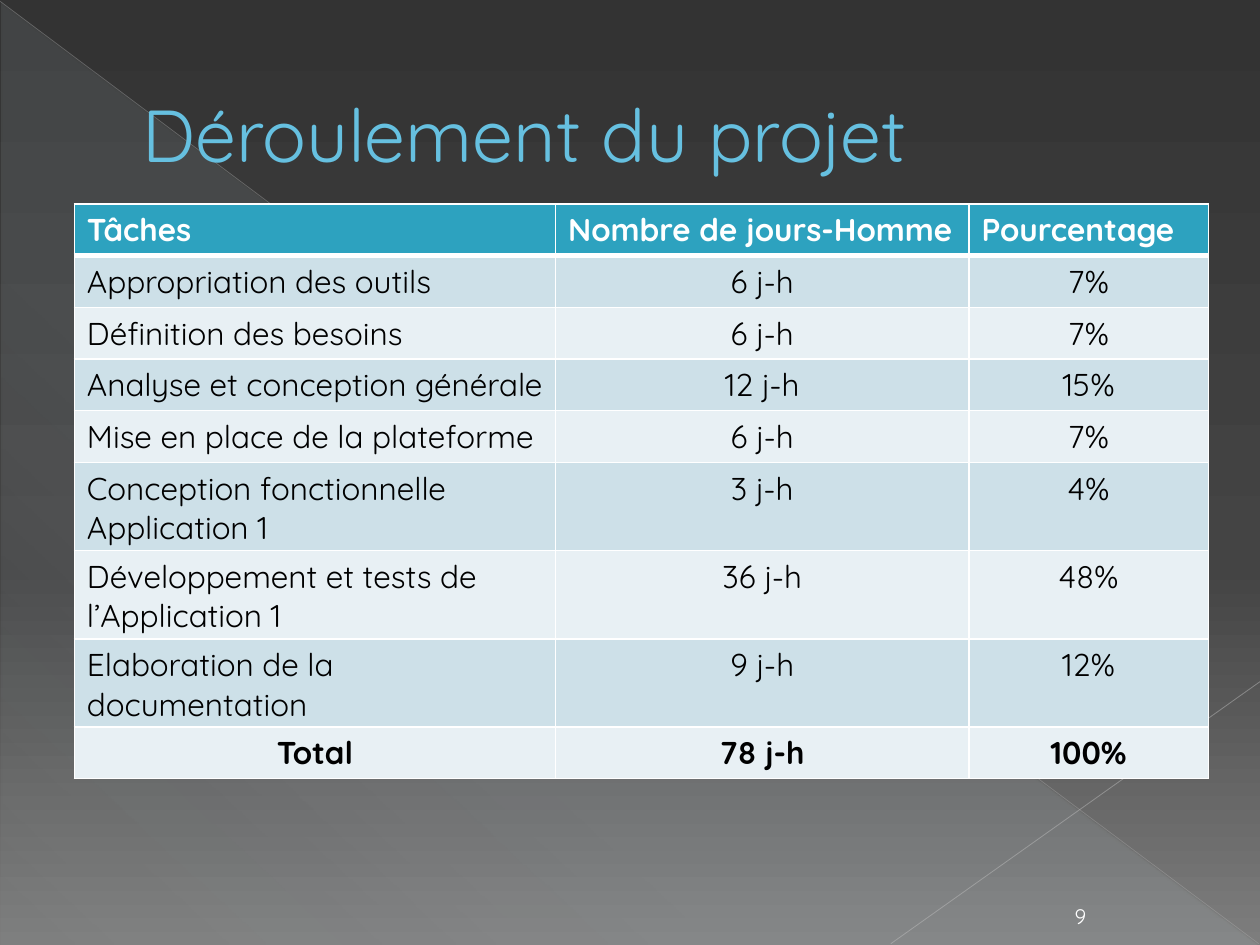
from lxml import etree
from pptx import Presentation
from pptx.dml.color import RGBColor
from pptx.enum.shapes import MSO_CONNECTOR, MSO_SHAPE
from pptx.enum.text import MSO_ANCHOR, PP_ALIGN
from pptx.oxml.ns import qn
from pptx.util import Inches, Pt

LEFT, CENTER = PP_ALIGN.LEFT, PP_ALIGN.CENTER
MIDDLE, BOTTOM = MSO_ANCHOR.MIDDLE, MSO_ANCHOR.BOTTOM
STRAIGHT = MSO_CONNECTOR.STRAIGHT
RIGHT_TRIANGLE = MSO_SHAPE.RIGHT_TRIANGLE

FONT = "Quicksand"
WHITE = RGBColor(0xFF, 0xFF, 0xFF)
BLACK = RGBColor(0x00, 0x00, 0x00)
TITLE_BLUE = RGBColor(0x66, 0xC0, 0xE0)
TITLE_OUTLINE = RGBColor(0x1F, 0x70, 0x84)
HEADER_BLUE = RGBColor(0x2D, 0xA2, 0xBF)
BAND_DARK = RGBColor(0xCD, 0xE0, 0xE8)
BAND_LIGHT = RGBColor(0xE8, 0xF0, 0xF4)
PALE_BLUE = RGBColor(0xDE, 0xF5, 0xFA)
GREY_LONG = RGBColor(0xB9, 0xB9, 0xB9)
GREY_SHORT = RGBColor(0xC1, 0xC1, 0xC1)
BACK_TOP = RGBColor(0x33, 0x33, 0x33)
BACK_MIDDLE = RGBColor(0x44, 0x44, 0x44)
BACK_BOTTOM = RGBColor(0x7D, 0x7D, 0x7D)

COLUMN_WIDTHS = (3.82, 3.28, 1.9)
ROW_HEIGHT = 0.41
ROWS = (
    ("Tâches", "Nombre de jours-Homme", "Pourcentage"),
    ("Appropriation des outils", "6 j-h", "7%"),
    ("Définition des besoins", "6 j-h", "7%"),
    ("Analyse et conception générale", "12 j-h", "15%"),
    ("Mise en place de la plateforme", "6 j-h", "7%"),
    ("Conception fonctionnelle Application 1", "3 j-h", "4%"),
    ("Développement et tests de l’Application 1", "36 j-h", "48%"),
    ("Elaboration de la documentation", "9 j-h", "12%"),
    ("Total", "78 j-h", "100%"),
)


def add_color(parent, color, opacity=100):
    """Append a colour with an opacity in percent to an XML element."""
    node = etree.SubElement(parent, qn("a:srgbClr"), val=str(color))
    if opacity < 100:
        etree.SubElement(node, qn("a:alpha"), val=str(opacity * 1000))


def replace_with_gradient(solid, stops, angle):
    """Put a linear gradient of (position, colour, opacity) stops in place of a solid fill."""
    gradient = etree.Element(qn("a:gradFill"), rotWithShape="1")
    stop_list = etree.SubElement(gradient, qn("a:gsLst"))
    for position, color, opacity in stops:
        stop = etree.SubElement(stop_list, qn("a:gs"), pos=str(position * 1000))
        add_color(stop, color, opacity)
    etree.SubElement(gradient, qn("a:lin"), ang=str(angle * 60000), scaled="0")
    solid.getparent().replace(solid, gradient)


def paint_background(page):
    """Give the page its dark vertical gradient."""
    page.background.fill.solid()
    solid = page.element.xpath(".//p:bgPr/a:solidFill")[0]
    stops = ((0, BACK_TOP, 100), (60, BACK_MIDDLE, 100), (100, BACK_BOTTOM, 100))
    replace_with_gradient(solid, stops, 90)


def add_triangle(page):
    """Add the translucent triangle behind the content."""
    triangle = page.shapes.add_shape(
        RIGHT_TRIANGLE, Inches(0.01), Inches(0.02), Inches(9.98), Inches(7.48))
    triangle.shadow.inherit = False
    triangle.line.fill.background()
    triangle.fill.solid()
    solid = triangle.element.xpath("./p:spPr/a:solidFill")[0]
    stops = ((0, PALE_BLUE, 10), (70, PALE_BLUE, 8), (100, PALE_BLUE, 1))
    replace_with_gradient(solid, stops, 133)


def add_line(page, start, end, color, width, opacity):
    """Add a thin translucent straight line."""
    line = page.shapes.add_connector(STRAIGHT, *map(Inches, start + end))
    line.line.width = Pt(width)
    line.line.color.rgb = color
    node = line.element.xpath("./p:spPr/a:ln/a:solidFill/a:srgbClr")[0]
    etree.SubElement(node, qn("a:alpha"), val=str(opacity * 1000))
    etree.SubElement(line.element.spPr, qn("a:effectLst"))


def style_paragraph(paragraph, size, color, align=LEFT, bold=False):
    """Set the alignment and font of a paragraph."""
    paragraph.alignment = align
    font = paragraph.font
    font.name, font.size, font.bold = FONT, Pt(size), bold
    font.color.rgb = color


def add_text(page, place, text, size, color, anchor, align=LEFT):
    """Add a one-paragraph text box and return its paragraph."""
    box = page.shapes.add_textbox(*map(Inches, place))
    frame = box.text_frame
    frame.word_wrap = True
    frame.vertical_anchor = anchor
    paragraph = frame.paragraphs[0]
    paragraph.text = text
    style_paragraph(paragraph, size, color, align)
    return paragraph


def add_title(page, text):
    """Add the indented, outlined title."""
    paragraph = add_text(page, (0.5, 0.29, 9, 1.53), text, 42, TITLE_BLUE, MIDDLE)
    paragraph._p.get_or_add_pPr().set("marL", str(Inches(0.53)))
    properties = paragraph.runs[0]._r.get_or_add_rPr()
    outline = etree.Element(qn("a:ln"), w=str(Pt(0.5)))
    add_color(etree.SubElement(outline, qn("a:solidFill")), TITLE_OUTLINE)
    properties.insert(0, outline)


def set_borders(cell, top, bottom):
    """Draw white cell borders, with widths in points for top and bottom."""
    properties = cell._tc.get_or_add_tcPr()
    sides = (("a:lnL", 1), ("a:lnR", 1), ("a:lnT", top), ("a:lnB", bottom))
    for index, (tag, width) in enumerate(sides):
        border = etree.Element(qn(tag), w=str(Pt(width)))
        add_color(etree.SubElement(border, qn("a:solidFill")), WHITE)
        properties.insert(index, border)


def add_task_table(page):
    """Add the table of tasks with header, banded rows and total."""
    last = len(ROWS) - 1
    table = page.shapes.add_table(
        len(ROWS), len(COLUMN_WIDTHS), Inches(0.59), Inches(1.62),
        Inches(sum(COLUMN_WIDTHS)), Inches(ROW_HEIGHT * len(ROWS))).table
    for column, width in zip(table.columns, COLUMN_WIDTHS):
        column.width = Inches(width)
    for row_index, texts in enumerate(ROWS):
        table.rows[row_index].height = Inches(ROW_HEIGHT)
        header = row_index == 0
        band = BAND_DARK if row_index % 2 else BAND_LIGHT
        for column_index, text in enumerate(texts):
            cell = table.cell(row_index, column_index)
            cell.text = text
            cell.fill.solid()
            cell.fill.fore_color.rgb = HEADER_BLUE if header else band
            centered = row_index == last or (column_index > 0 and not header)
            style_paragraph(cell.text_frame.paragraphs[0], 18,
                            WHITE if header else BLACK,
                            CENTER if centered else LEFT,
                            row_index in (0, last))
            set_borders(cell, 3 if row_index == 1 else 1, 3 if header else 1)


def main():
    """Build the slide and save it."""
    deck = Presentation()
    deck.slide_width, deck.slide_height = Inches(10), Inches(7.5)
    page = deck.slides.add_slide(deck.slide_layouts[6])
    paint_background(page)
    add_triangle(page)
    add_line(page, (0, 0.01), (9.99, 7.49), GREY_LONG, 0.39, 35)
    add_line(page, (10, 5.41), (7.07, 7.49), GREY_SHORT, 0.47, 45)
    add_title(page, "Déroulement du projet")
    add_task_table(page)
    add_text(page, (8.3, 7.09, 0.55, 0.33), "9", 12, WHITE, BOTTOM, CENTER)
    deck.save("out.pptx")


main()
